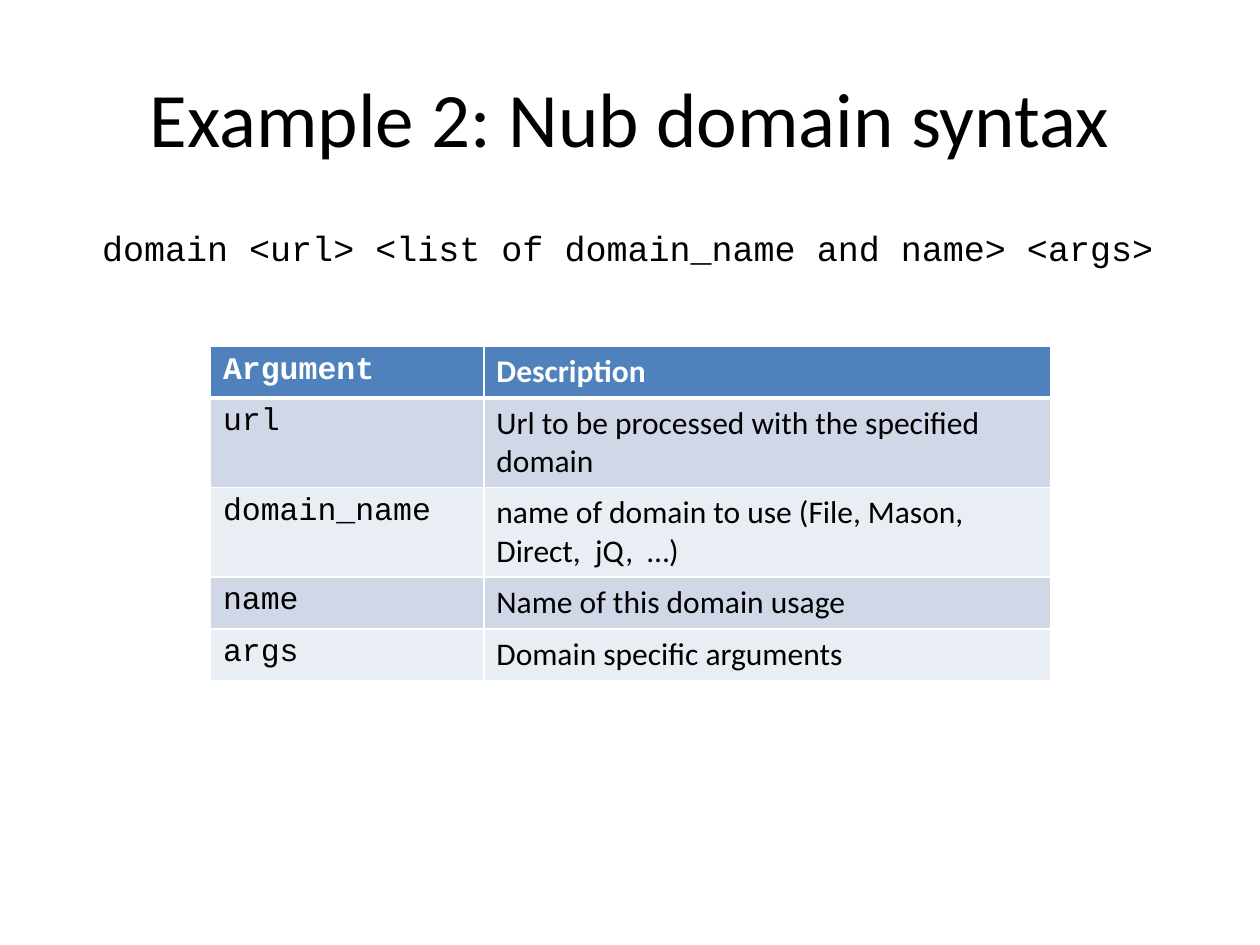
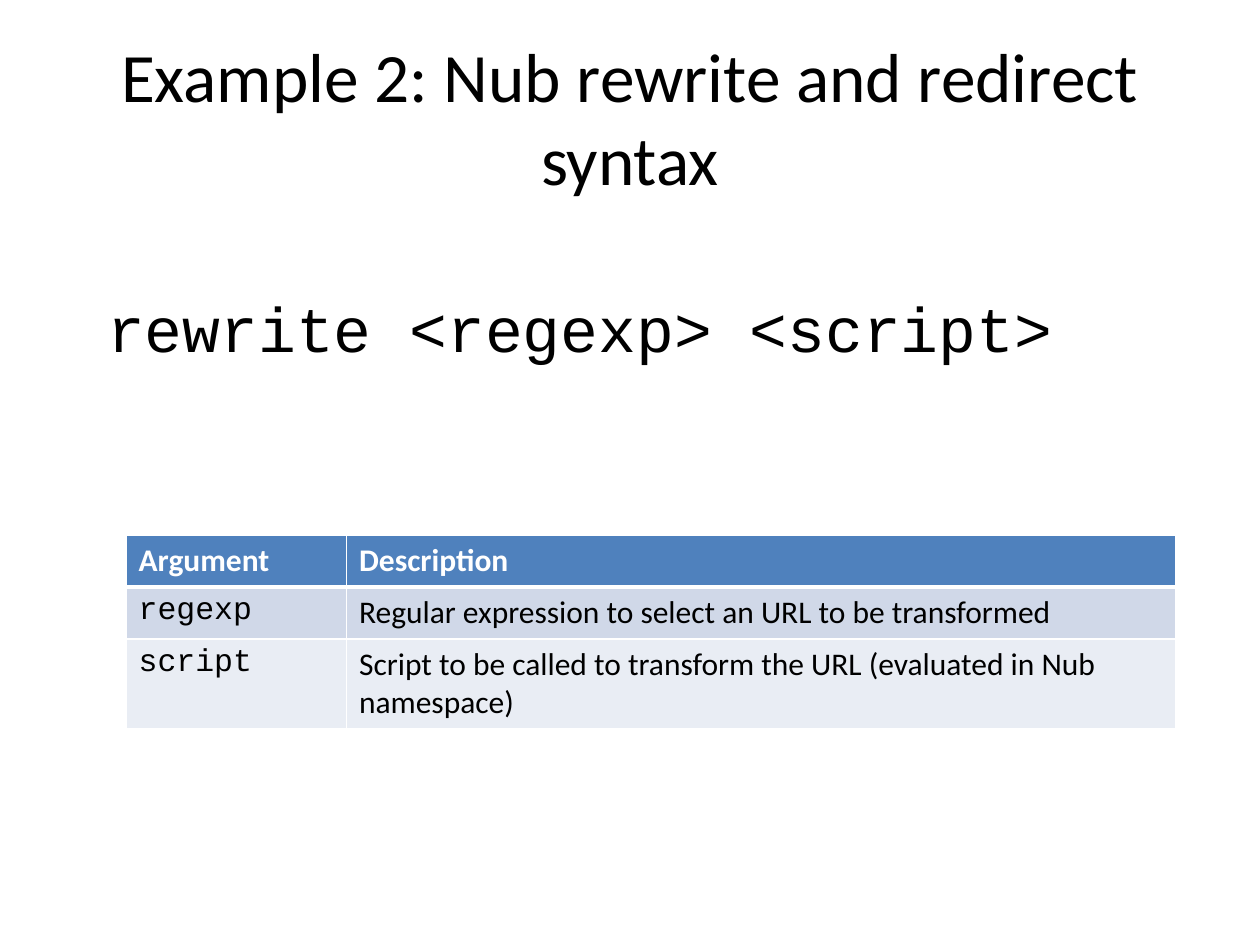
from lxml.etree import SubElement
from pptx import Presentation
from pptx.dml.color import RGBColor
from pptx.enum.text import MSO_ANCHOR, MSO_AUTO_SIZE, PP_ALIGN
from pptx.oxml.ns import qn
from pptx.util import Emu, Pt

PX = 9144  # 100 px to the inch
COLORS = {
    "text": "000000",
    "white": "FFFFFF",
    "header": "4F81BD",
    "odd_row": "D0D8E8",
    "even_row": "E9EDF4",
}
SANS = "Calibri"
MONO = "Courier New"
TITLE_BOX = (50, 30, 900, 125)
ROW_HEIGHT = 41


def px(length):
    return Emu(length * PX)


def place(shape, box):
    shape.left, shape.top, shape.width, shape.height = map(px, box)


def add_run(paragraph, text, font, size, color="text", bold=False):
    run = paragraph.add_run()
    run.text = text
    run.font.name = font
    run.font.size = Pt(size)
    run.font.bold = bold
    run.font.color.rgb = RGBColor.from_string(COLORS[color])


def fill_title(slide, text, size):
    title = slide.shapes.title
    place(title, TITLE_BOX)
    frame = title.text_frame
    frame.auto_size = MSO_AUTO_SIZE.NONE
    frame.vertical_anchor = MSO_ANCHOR.MIDDLE
    paragraph = frame.paragraphs[0]
    paragraph.alignment = PP_ALIGN.CENTER
    add_run(paragraph, text, SANS, size)


def fill_syntax(slide, box, text, size):
    """Put the command line in the body placeholder, without a bullet."""
    body = slide.placeholders[1]
    place(body, box)
    body.text_frame.auto_size = MSO_AUTO_SIZE.NONE
    paragraph = body.text_frame.paragraphs[0]
    SubElement(paragraph._p.get_or_add_pPr(), qn("a:buNone"))
    add_run(paragraph, text, MONO, size)


def set_borders(cell, top, bottom):
    """Draw white borders; top and bottom widths are in points."""
    properties = cell._tc.get_or_add_tcPr()
    for side, width in (("L", 1), ("R", 1), ("T", top), ("B", bottom)):
        line = SubElement(properties, qn(f"a:ln{side}"), w=str(Pt(width)))
        fill = SubElement(line, qn("a:solidFill"))
        SubElement(fill, qn("a:srgbClr"), val=COLORS["white"])


def add_argument_table(slide, left, top, column_widths, header_font, arguments):
    rows = [("Argument", "Description"), *arguments]
    frame = slide.shapes.add_table(
        len(rows), len(column_widths), px(left), px(top),
        px(sum(column_widths)), px(ROW_HEIGHT * len(rows)))
    table = frame.table
    for column, width in zip(table.columns, column_widths):
        column.width = px(width)
    for row_index, texts in enumerate(rows):
        table.rows[row_index].height = px(ROW_HEIGHT)
        is_header = row_index == 0
        band = "header" if is_header else "odd_row" if row_index % 2 else "even_row"
        fonts = (header_font if is_header else MONO, SANS)
        for column_index, (text, font) in enumerate(zip(texts, fonts)):
            cell = table.cell(row_index, column_index)
            set_borders(cell, top=3 if row_index == 1 else 1,
                        bottom=3 if is_header else 1)
            cell.fill.solid()
            cell.fill.fore_color.rgb = RGBColor.from_string(COLORS[band])
            add_run(cell.text_frame.paragraphs[0], text, font, 18,
                    "white" if is_header else "text", is_header)


def add_syntax_slide(presentation, title, title_size, syntax_box, syntax,
                     syntax_size, **table):
    slide = presentation.slides.add_slide(presentation.slide_layouts[1])
    fill_title(slide, title, title_size)
    fill_syntax(slide, syntax_box, syntax, syntax_size)
    add_argument_table(slide, **table)


def main():
    presentation = Presentation()
    presentation.slide_width = px(1000)
    presentation.slide_height = px(750)
    add_syntax_slide(
        presentation, "Example 2: Nub domain syntax", 44,
        (71, 175, 858, 495),
        "domain <url> <list of domain_name and name> <args>", 20,
        left=167, top=275, column_widths=(217, 450), header_font=MONO,
        arguments=[
            ("url", "Url to be processed with the specified domain"),
            ("domain_name", "name of domain to use (File, Mason, Direct,  jQ,  …)"),
            ("name", "Name of this domain usage"),
            ("args", "Domain specific arguments"),
        ])
    add_syntax_slide(
        presentation, "Example 2: Nub rewrite and redirect syntax", 39.6,
        (75, 225, 900, 495), "rewrite <regexp> <script>", 36,
        left=100, top=425, column_widths=(175, 658), header_font=SANS,
        arguments=[
            ("regexp", "Regular expression to select an URL to be transformed"),
            ("script", "Script to be called to transform the URL "
                       "(evaluated in Nub namespace)"),
        ])
    presentation.save("out.pptx")


if __name__ == "__main__":
    main()
